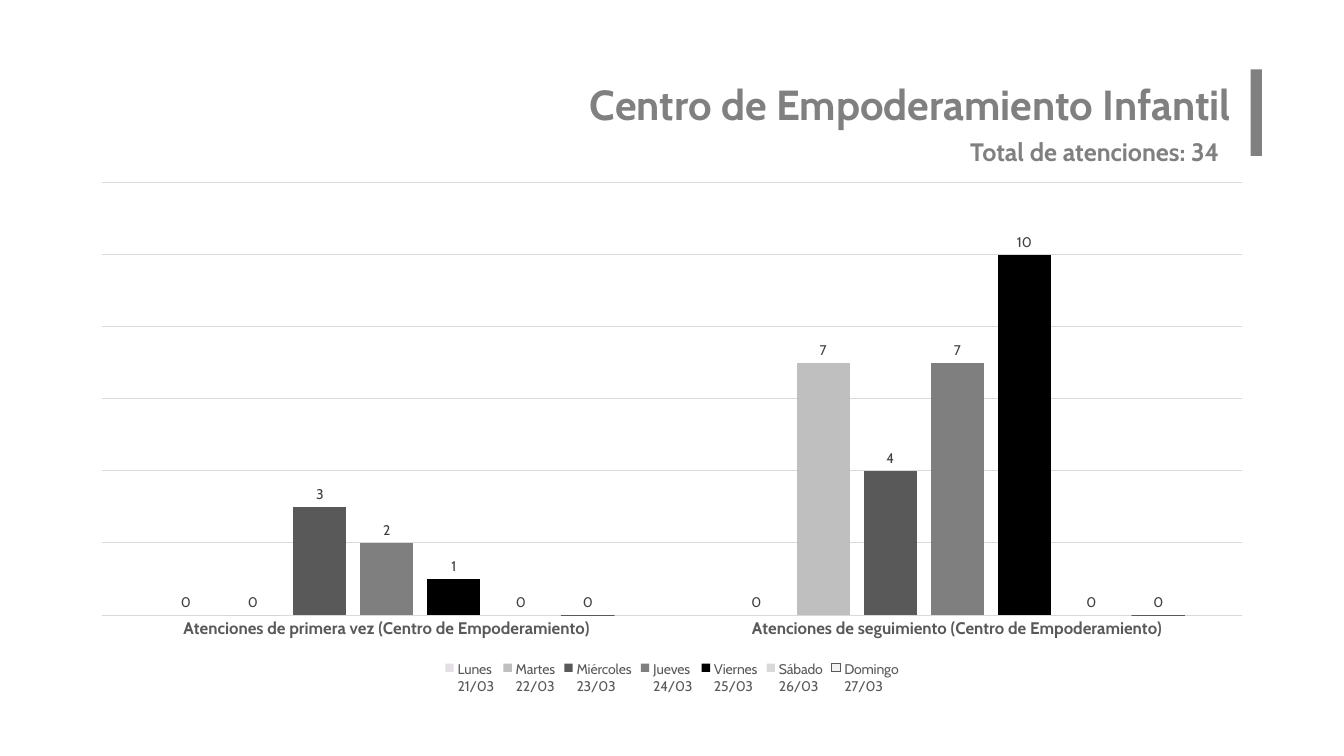
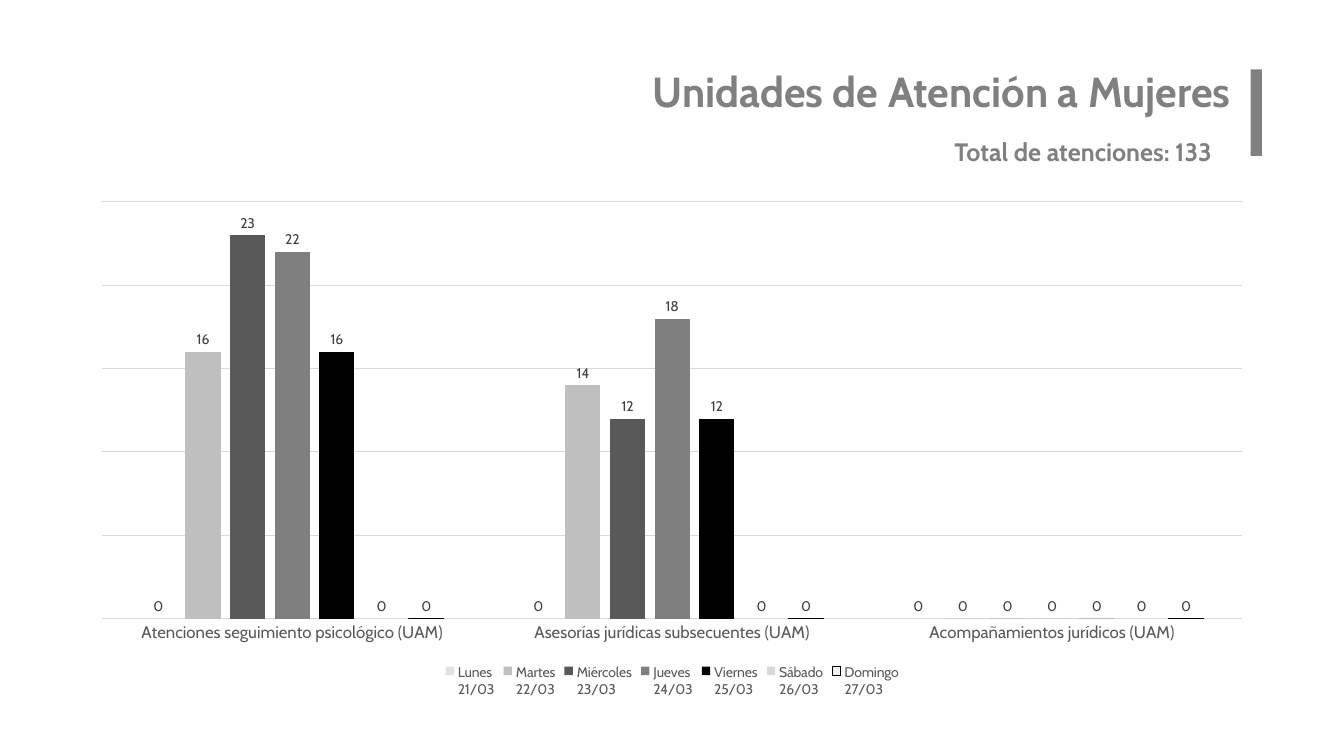
import dataclasses

import pptx
import pptx.chart.data
import pptx.dml.color
import pptx.enum.chart
import pptx.enum.shapes
import pptx.enum.text
import pptx.util

Cm, Pt = pptx.util.Cm, pptx.util.Pt


@dataclasses.dataclass(frozen=True)
class Theme:
    font: str = "Cabin"
    heading: str = "808080"
    axis_text: str = "595959"
    label_text: str = "404040"
    rule: str = "D9D9D9"
    title_size: int = 30
    total_size: int = 18
    axis_size: int = 12
    chart_size: int = 10
    line_width: float = 0.75


THEME = Theme()

# day, date, column colour
DAYS = [
    ("Lunes", "21/03", "E3DFE5"),
    ("Martes", "22/03", "BFBFBF"),
    ("Miércoles", "23/03", "595959"),
    ("Jueves", "24/03", "7F7F7F"),
    ("Viernes", "25/03", "000000"),
    ("Sábado", "26/03", "D9D9D9"),
    ("Domingo", "27/03", "F2F2F2"),
]

# rows hold one value per day; lengths are centimetres
SLIDES = [
    {
        "title": "Centro de Empoderamiento Infantil",
        "title_top": 1.73,
        "total_width": 7.32,
        "chart_box": (1.96, 4.34, 29.95, 13.26),
        "scale": (12, 2),
        "bold_categories": True,
        "sunday_line": "595959",
        "rows": {
            "Atenciones de primera vez (Centro de Empoderamiento)": (0, 0, 3, 2, 1, 0, 0),
            "Atenciones de seguimiento (Centro de Empoderamiento)": (0, 7, 4, 7, 10, 0, 0),
        },
    },
    {
        "title": "Unidades de Atención a Mujeres",
        "title_top": 1.4,
        "total_width": 7.72,
        "chart_box": (1.98, 4.83, 29.92, 12.85),
        "scale": (25, 5),
        "bold_categories": False,
        "sunday_line": "000000",
        "rows": {
            "Atenciones seguimiento psicológico (UAM)": (0, 16, 23, 22, 16, 0, 0),
            "Asesorías jurídicas subsecuentes (UAM)": (0, 14, 12, 18, 12, 0, 0),
            "Acompañamientos jurídicos (UAM)": (0, 0, 0, 0, 0, 0, 0),
        },
    },
]

BAR_LEFT, BAR_TOP, BAR_WIDTH, BAR_HEIGHT = 31.52, 1.75, 0.28, 2.18
TITLE_WIDTH, TITLE_HEIGHT = 26.09, 2.21
TOTAL_TOP, TOTAL_HEIGHT = 3.3, 1.02


def rgb(code):
    return pptx.dml.color.RGBColor.from_string(code)


def style_font(font, size, color, bold=False):
    font.name = THEME.font
    font.size = Pt(size)
    font.bold = bold
    font.color.rgb = rgb(color)


def style_line(line, color):
    line.color.rgb = rgb(color)
    line.width = Pt(THEME.line_width)


def add_heading(page, text, size, top, width, height, inset, align):
    """Add a bold text box whose right edge touches the side bar."""
    box = page.shapes.add_textbox(Cm(BAR_LEFT - width), Cm(top), Cm(width), Cm(height))
    frame = box.text_frame
    frame.word_wrap = True
    frame.vertical_anchor = pptx.enum.text.MSO_ANCHOR.TOP
    frame.margin_left = frame.margin_right = Cm(inset)
    frame.margin_top = frame.margin_bottom = Cm(inset / 2)
    para = frame.paragraphs[0]
    para.text = text
    para.alignment = align
    style_font(para.font, size, THEME.heading, bold=True)


def add_side_bar(page):
    bar = page.shapes.add_shape(
        pptx.enum.shapes.MSO_SHAPE.RECTANGLE,
        Cm(BAR_LEFT), Cm(BAR_TOP), Cm(BAR_WIDTH), Cm(BAR_HEIGHT),
    )
    bar.shadow.inherit = False
    bar.fill.solid()
    bar.fill.fore_color.rgb = rgb(THEME.heading)
    bar.line.fill.background()


def style_axes(chart, scale, bold_categories):
    no_ticks = pptx.enum.chart.XL_TICK_MARK.NONE
    categories = chart.category_axis
    categories.major_tick_mark = categories.minor_tick_mark = no_ticks
    style_font(categories.tick_labels.font, THEME.axis_size, THEME.axis_text, bold_categories)
    style_line(categories.format.line, THEME.rule)

    values = chart.value_axis
    values.visible = False
    values.minimum_scale = 0
    values.maximum_scale, values.major_unit = scale
    values.has_major_gridlines = True
    style_line(values.major_gridlines.format.line, THEME.rule)


def style_series(series, color):
    series.invert_if_negative = False
    series.format.fill.solid()
    series.format.fill.fore_color.rgb = rgb(color)
    series.format.line.fill.background()
    labels = series.data_labels
    labels.show_value = True
    labels.position = pptx.enum.chart.XL_LABEL_POSITION.OUTSIDE_END
    style_font(labels.font, THEME.chart_size, THEME.label_text)


def add_day_chart(page, content):
    data = pptx.chart.data.CategoryChartData()
    data.categories = list(content["rows"])
    for (day, date, _), values in zip(DAYS, zip(*content["rows"].values())):
        data.add_series(f"{day}\n{date}", values)

    chart = page.shapes.add_chart(
        pptx.enum.chart.XL_CHART_TYPE.COLUMN_CLUSTERED,
        *map(Cm, content["chart_box"]), data,
    ).chart
    style_font(chart.font, THEME.chart_size, "000000")
    chart.has_title = False
    chart.has_legend = True
    chart.legend.position = pptx.enum.chart.XL_LEGEND_POSITION.BOTTOM
    chart.legend.include_in_layout = False
    style_font(chart.legend.font, THEME.chart_size, THEME.axis_text)
    style_axes(chart, content["scale"], content["bold_categories"])

    plot = chart.plots[0]
    plot.vary_by_categories = False
    plot.gap_width = 219
    plot.overlap = -27
    for series, (_, _, color) in zip(plot.series, DAYS):
        style_series(series, color)
    style_line(plot.series[len(DAYS) - 1].format.line, content["sunday_line"])


def add_page(deck, content):
    page = deck.slides.add_slide(deck.slide_layouts[6])
    total = sum(map(sum, content["rows"].values()))
    align = pptx.enum.text.PP_ALIGN
    add_heading(page, content["title"], THEME.title_size, content["title_top"],
                TITLE_WIDTH, TITLE_HEIGHT, 0.5, align.RIGHT)
    add_side_bar(page)
    add_heading(page, f"Total de atenciones: {total}", THEME.total_size, TOTAL_TOP,
                content["total_width"], TOTAL_HEIGHT, 0.25, align.LEFT)
    add_day_chart(page, content)


def main():
    deck = pptx.Presentation()
    deck.slide_width, deck.slide_height = Cm(33.87), Cm(19.05)
    for content in SLIDES:
        add_page(deck, content)
    deck.save("out.pptx")


if __name__ == "__main__":
    main()
